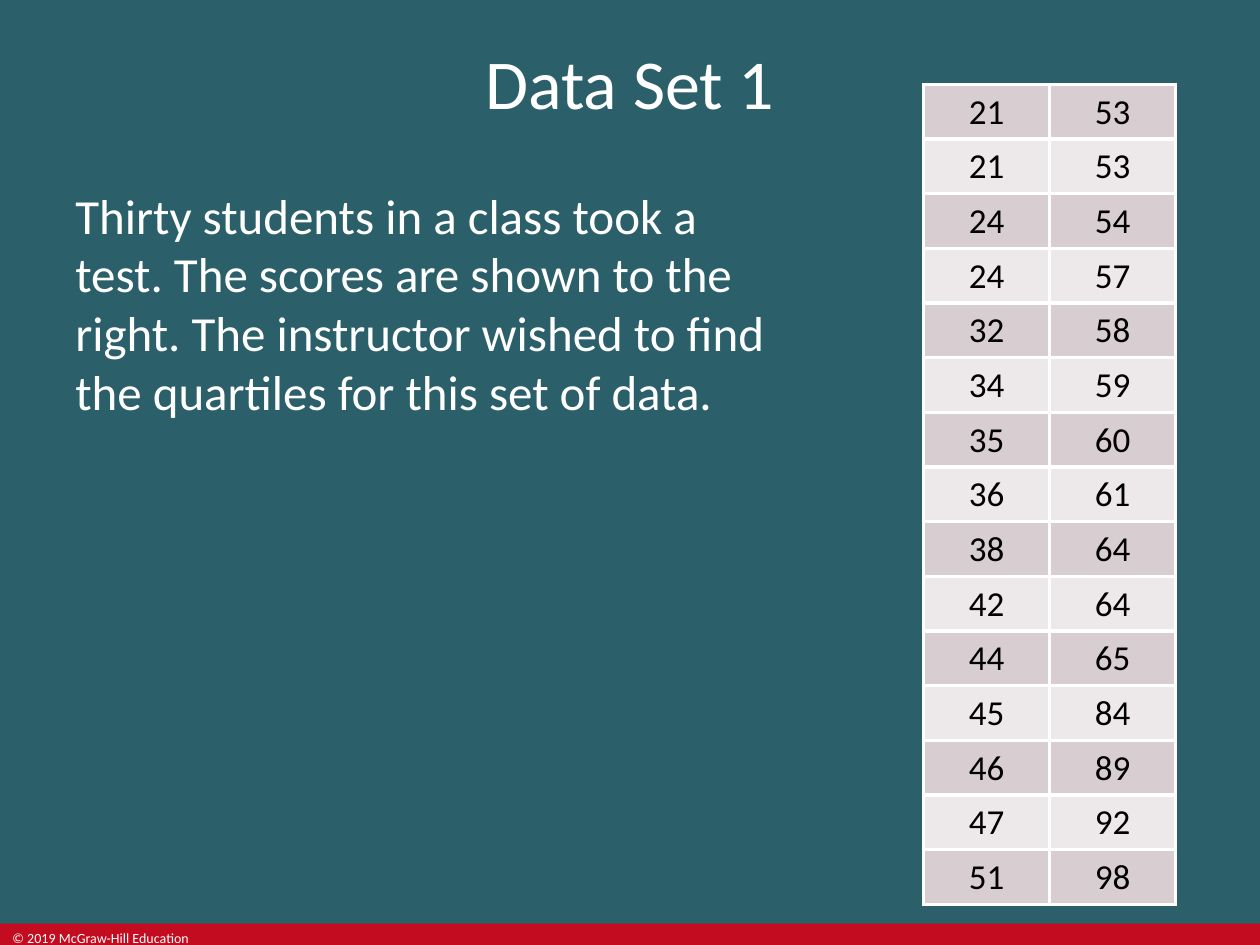
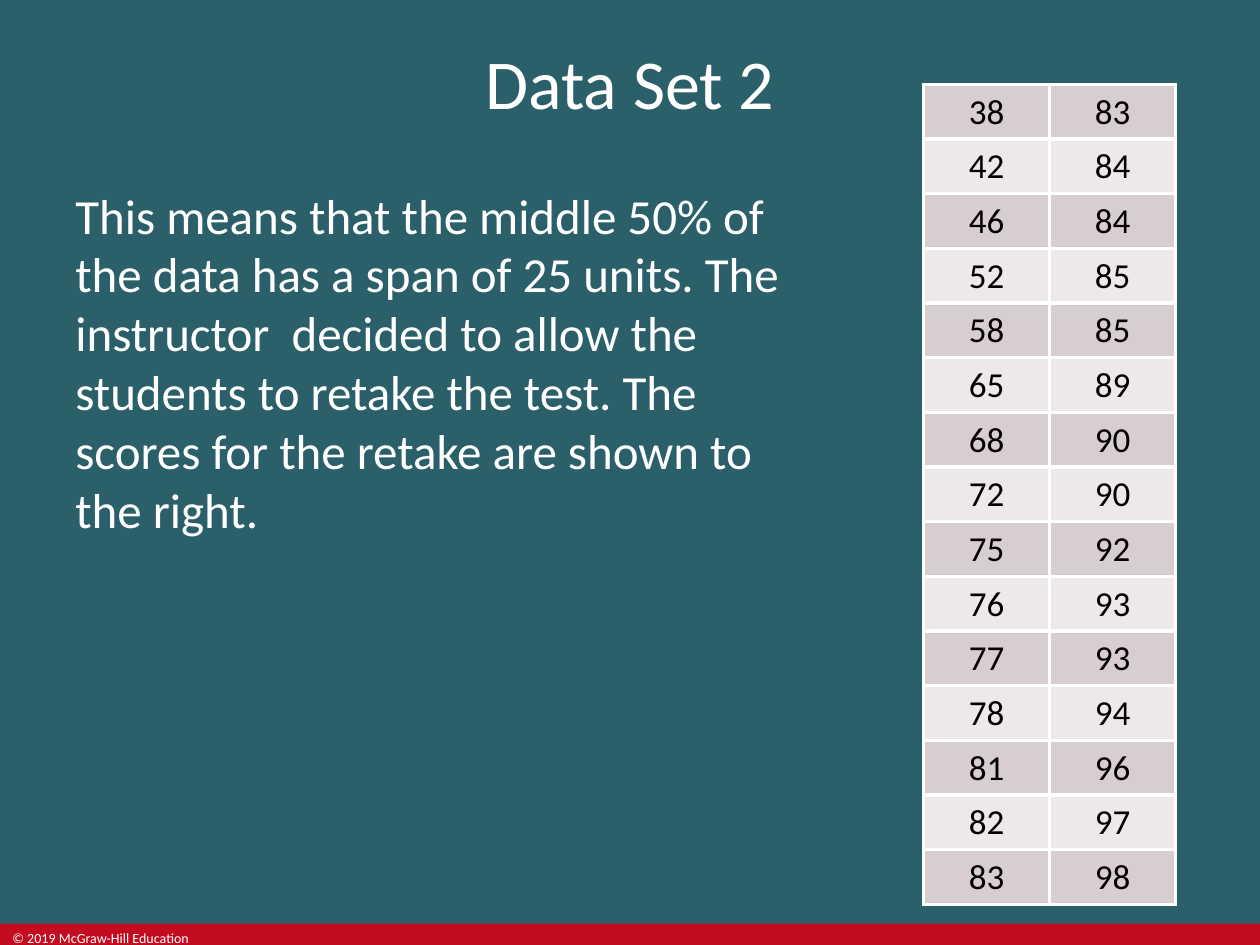
from dataclasses import dataclass
from lxml.etree import SubElement
from pptx import Presentation
from pptx.dml.color import RGBColor as RGB
from pptx.enum.shapes import MSO_SHAPE as SHAPE
from pptx.enum.text import MSO_ANCHOR as ANCHOR, PP_ALIGN as ALIGN
from pptx.oxml.ns import qn
from pptx.util import Inches, Pt


@dataclass(frozen=True)
class Theme:
    font: str = "Calibri"
    back: RGB = RGB.from_string("2B606A")
    band: RGB = RGB.from_string("C30C20")
    light: RGB = RGB.from_string("FFFFFF")
    dark: RGB = RGB.from_string("000000")
    rows: tuple = (RGB.from_string("D8CDD1"), RGB.from_string("EDE8E9"))
    title: int = 40
    body: int = 28
    score: int = 20
    footer: int = 8
    border: float = 2.25


T = Theme()
WIDTH, HEIGHT = Inches(10), Inches(7.5)
BAND_TOP, BAND_HEIGHT = Inches(7.33), Inches(0.17)
FOOTER = "© 2019 McGraw-Hill Education"

# Each data set: title, explanation, left and right column of scores
DATA_SETS = [
    ("Data Set 1",
     "Thirty students in a class took a test. The scores are shown to the right. "
     "The instructor wished to find the quartiles for this set of data.",
     [21, 21, 24, 24, 32, 34, 35, 36, 38, 42, 44, 45, 46, 47, 51],
     [53, 53, 54, 57, 58, 59, 60, 61, 64, 64, 65, 84, 89, 92, 98]),
    ("Data Set 2",
     "This means that the middle 50% of the data has a span of 25 units. "
     "The instructor  decided to allow the students to retake the test. "
     "The scores for the retake are shown to the right.",
     [38, 42, 46, 52, 58, 65, 68, 72, 75, 76, 77, 78, 81, 82, 83],
     [83, 84, 84, 85, 85, 89, 90, 90, 92, 93, 93, 94, 96, 97, 98]),
]


def write(tf, text, size, color=T.light, align=ALIGN.LEFT, anchor=ANCHOR.TOP):
    tf.word_wrap = True
    tf.vertical_anchor = anchor
    p = tf.paragraphs[0]
    p.alignment = align
    r = p.add_run()
    r.text = text
    r.font.name, r.font.size, r.font.color.rgb = T.font, Pt(size), color


def add_borders(cell):
    tc_pr = cell._tc.get_or_add_tcPr()
    for side in ("lnL", "lnR", "lnT", "lnB"):
        ln = SubElement(tc_pr, qn(f"a:{side}"), w=str(Pt(T.border)))
        fill = SubElement(ln, qn("a:solidFill"))
        SubElement(fill, qn("a:srgbClr"), val=str(T.light))


prs = Presentation()
prs.slide_width, prs.slide_height = WIDTH, HEIGHT

for title, body, left_scores, right_scores in DATA_SETS:
    s = prs.slides.add_slide(prs.slide_layouts[6])
    s.background.fill.solid()
    s.background.fill.fore_color.rgb = T.back

    band = s.shapes.add_shape(SHAPE.RECTANGLE, 0, BAND_TOP, WIDTH, BAND_HEIGHT)
    band.shadow.inherit = False
    band.fill.solid()
    band.fill.fore_color.rgb = T.band
    band.line.fill.background()
    footer = s.shapes.add_textbox(0, BAND_TOP, Inches(1.7), BAND_HEIGHT)
    write(footer.text_frame, FOOTER, T.footer)

    heading = s.shapes.add_textbox(0, 0, WIDTH, Inches(1.3))
    write(heading.text_frame, title, T.title, align=ALIGN.CENTER, anchor=ANCHOR.MIDDLE)
    story = s.shapes.add_textbox(Inches(0.5), Inches(1.42), Inches(5.8), Inches(5.75))
    write(story.text_frame, body, T.body)

    scores = list(zip(left_scores, right_scores))
    table = s.shapes.add_table(len(scores), 2, Inches(7.33), Inches(0.67),
                               Inches(2), Inches(6.5)).table
    table.first_row = table.horz_banding = False
    for i, pair in enumerate(scores):
        for j, score in enumerate(pair):
            cell = table.cell(i, j)
            add_borders(cell)
            cell.fill.solid()
            cell.fill.fore_color.rgb = T.rows[i % 2]
            write(cell.text_frame, str(score), T.score, T.dark, ALIGN.CENTER)

prs.save("out.pptx")
